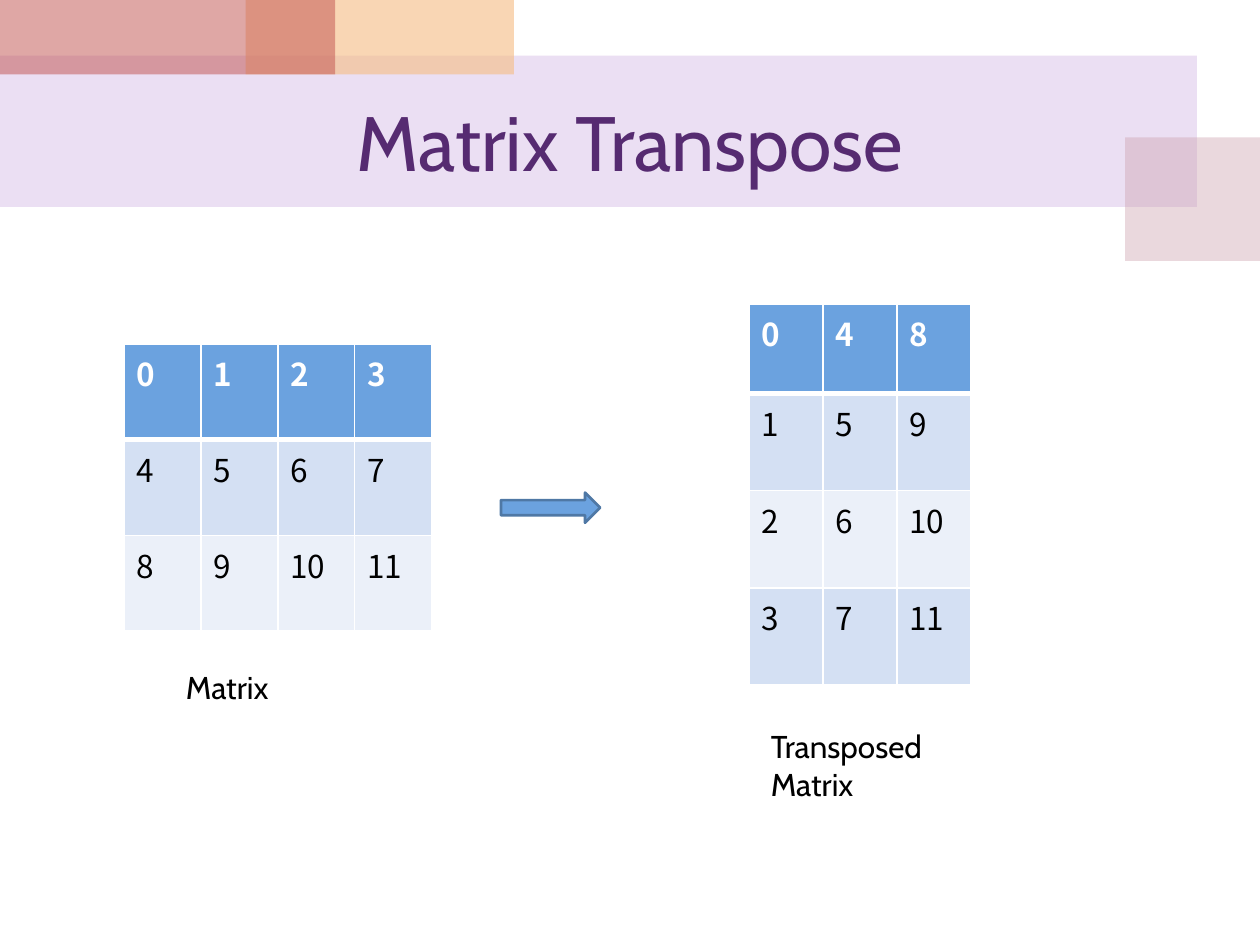
from dataclasses import dataclass

import pptx
import pptx.dml.color
import pptx.enum.shapes
import pptx.enum.text
import pptx.oxml
import pptx.oxml.ns
import pptx.util
from pptx.util import Cm

SHAPE = pptx.enum.shapes.MSO_SHAPE
ALIGN = pptx.enum.text.PP_ALIGN
ANCHOR = pptx.enum.text.MSO_ANCHOR


@dataclass(frozen=True)
class Theme:
    text_font: str = "Cabin"
    table_font: str = "Noto Sans CJK KR"
    title_size: int = 44
    body_size: int = 18
    title: str = "562B71"
    text: str = "000000"
    white: str = "FFFFFF"
    accent: str = "6BA2DF"
    accent_edge: str = "4F78A5"
    row_bands: tuple = ("D4E0F3", "EBF0F9")
    banner: str = "BF98D8"
    rose: str = "CC9EAC"
    orange: str = "F5BC83"
    red: str = "C0504D"


THEME = Theme()
MATRIX = [[0, 1, 2, 3], [4, 5, 6, 7], [8, 9, 10, 11]]


def rgb(color):
    return pptx.dml.color.RGBColor.from_string(color)


def style_font(font, name, size, color, bold=False):
    font.name = name
    font.size = pptx.util.Pt(size)
    font.color.rgb = rgb(color)
    font.bold = bold


def add_filled_shape(page, kind, left, top, width, height, color):
    shape = page.shapes.add_shape(kind, Cm(left), Cm(top), Cm(width), Cm(height))
    shape.shadow.inherit = False
    shape.fill.solid()
    shape.fill.fore_color.rgb = rgb(color)
    shape.line.fill.background()
    return shape


def add_tinted_block(page, left, top, width, height, color, opacity):
    """Add a rectangle whose opacity is given in percent."""
    block = add_filled_shape(page, SHAPE.RECTANGLE, left, top, width, height, color)
    color_element = block.fill._xPr.find(".//" + pptx.oxml.ns.qn("a:srgbClr"))
    color_element.append(pptx.oxml.parse_xml(
        f'<a:alpha {pptx.oxml.ns.nsdecls("a")} val="{opacity * 1000}"/>'))


def add_text(page, text, left, top, width, height, size, color,
             align=ALIGN.LEFT, anchor=ANCHOR.TOP):
    box = page.shapes.add_textbox(Cm(left), Cm(top), Cm(width), Cm(height))
    frame = box.text_frame
    frame.word_wrap = True
    frame.vertical_anchor = anchor
    frame.text = text
    para = frame.paragraphs[0]
    para.alignment = align
    style_font(para.runs[0].font, THEME.text_font, size, color)


def set_borders(cell, **points):
    """Draw white cell edges; keys L, R, T and B give widths in points."""
    properties = cell._tc.get_or_add_tcPr()
    for side in "LRTB":
        width = pptx.util.Pt(points.get(side, 1))
        properties.append(pptx.oxml.parse_xml(
            f'<a:ln{side} {pptx.oxml.ns.nsdecls("a")} w="{width}"><a:solidFill>'
            f'<a:srgbClr val="{THEME.white}"/></a:solidFill></a:ln{side}>'))


def style_cell(cell, row):
    header = row == 0
    if header:
        set_borders(cell, B=3)
    else:
        set_borders(cell, T=3 if row == 1 else 1)
    cell.fill.solid()
    cell.fill.fore_color.rgb = rgb(
        THEME.accent if header else THEME.row_bands[(row - 1) % 2])
    style_font(cell.text_frame.paragraphs[0].runs[0].font, THEME.table_font,
               THEME.body_size, THEME.white if header else THEME.text, header)


def add_matrix(page, values, left, top, column_width, header_height, row_height):
    rows, columns = len(values), len(values[0])
    height = header_height + row_height * (rows - 1)
    table = page.shapes.add_table(rows, columns, Cm(left), Cm(top),
                                  Cm(column_width * columns), Cm(height)).table
    for column in table.columns:
        column.width = Cm(column_width)
    for row, numbers in enumerate(values):
        table.rows[row].height = Cm(row_height if row else header_height)
        for column, number in enumerate(numbers):
            cell = table.cell(row, column)
            cell.text_frame.text = str(number)
            style_cell(cell, row)


def add_arrow(page, left, top, width, height):
    arrow = add_filled_shape(page, SHAPE.RIGHT_ARROW, left, top, width, height,
                             THEME.accent)
    arrow.line.color.rgb = rgb(THEME.accent_edge)
    arrow.line.width = pptx.util.Pt(1.5)


def add_decoration(page):
    add_tinted_block(page, 0, 1.12, 24.13, 3.05, THEME.banner, 30)
    add_tinted_block(page, 22.68, 2.77, 2.72, 2.49, THEME.rose, 40)
    add_tinted_block(page, 4.95, 0, 5.41, 1.5, THEME.orange, 60)
    add_tinted_block(page, 0, 0, 6.76, 1.5, THEME.red, 50)


def main():
    deck = pptx.Presentation()
    deck.slide_width, deck.slide_height = Cm(25.4), Cm(19.05)
    page = deck.slides.add_slide(deck.slide_layouts[6])
    add_decoration(page)
    add_text(page, "Matrix Transpose", 1.27, 1.5, 22.86, 2.67,
             THEME.title_size, THEME.title, ALIGN.CENTER, ANCHOR.MIDDLE)
    add_matrix(page, MATRIX, 2.5, 6.93, 1.55, 1.93, 1.93)
    add_matrix(page, list(zip(*MATRIX)), 15.1, 6.13, 1.49, 1.8, 1.96)
    add_text(page, "Matrix", 3.5, 13.34, 3.81, 1.02, THEME.body_size, THEME.text)
    add_text(page, "Transposed Matrix", 15.29, 14.53, 3.99, 1.8,
             THEME.body_size, THEME.text)
    add_arrow(page, 10.1, 9.93, 2, 0.61)
    deck.save("out.pptx")


if __name__ == "__main__":
    main()
